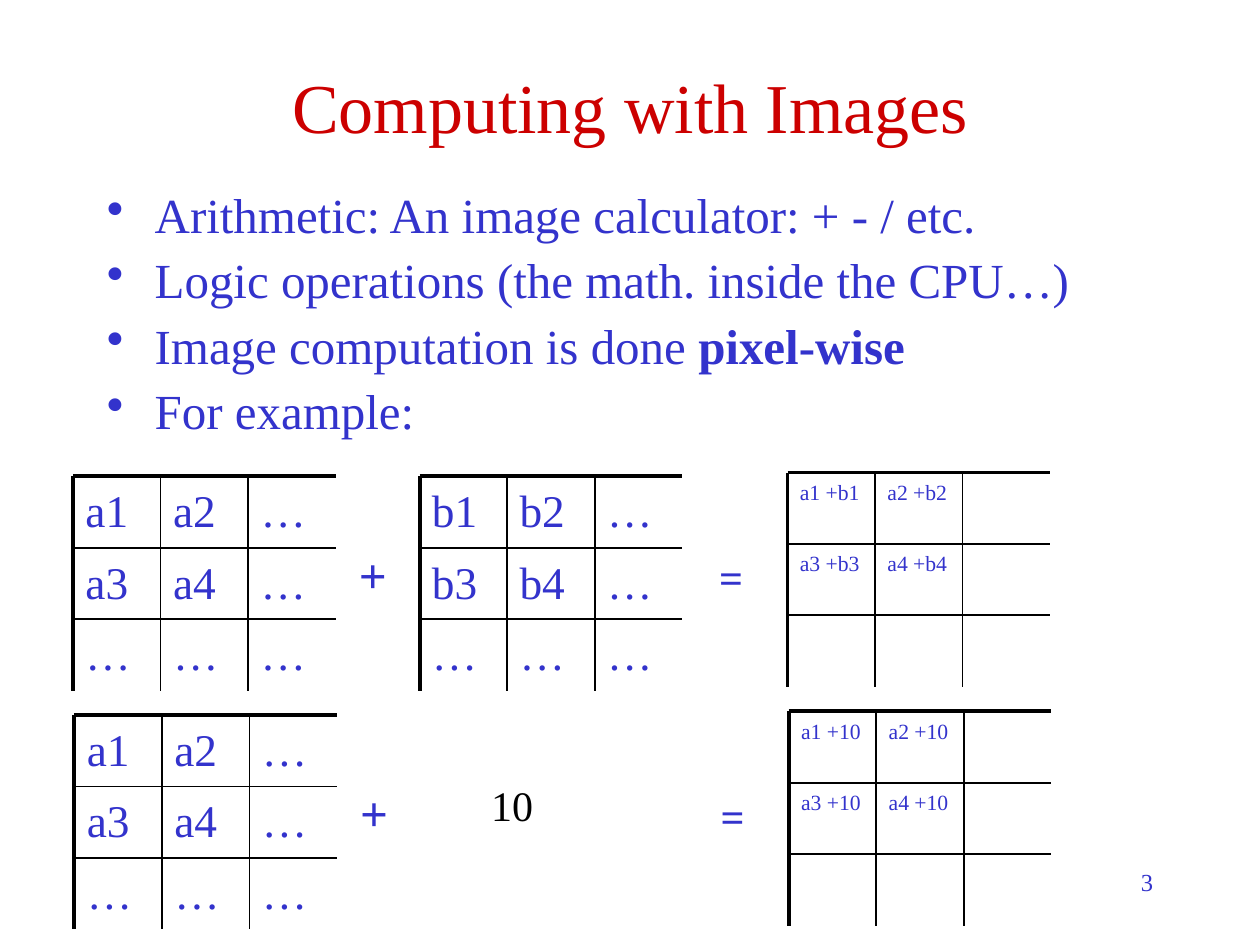
from dataclasses import dataclass

from lxml.etree import SubElement
from pptx import Presentation
from pptx.dml.color import RGBColor
from pptx.enum.shapes import MSO_CONNECTOR as Connector
from pptx.enum.text import MSO_ANCHOR as Anchor, MSO_AUTO_SIZE as AutoSize, PP_ALIGN as Align
from pptx.oxml.ns import qn
from pptx.util import Inches, Pt


@dataclass(frozen=True)
class Theme:
    font: str = "Times New Roman"
    heading: RGBColor = RGBColor(0xCC, 0x00, 0x00)
    body: RGBColor = RGBColor(0x33, 0x33, 0xCC)
    ink: RGBColor = RGBColor(0x00, 0x00, 0x00)
    title_size: float = 40
    bullet_size: float = 28
    plus_size: float = 28
    operand_size: float = 24
    pixel_size: float = 25.9
    sum_size: float = 12.4
    number_size: float = 14
    border: float = 2.25
    rule: float = 1


class SlideBuilder:
    CELL_W, CELL_H, CELLS = 0.695, 0.567, 3

    def __init__(self, slide, theme):
        self.slide, self.theme = slide, theme

    def style(self, paragraph, size, color, bold=False):
        font = paragraph.font
        font.name, font.size, font.bold = self.theme.font, Pt(size), bold
        font.color.rgb = color

    def title(self, text, left, top, width, height):
        heading = self.slide.shapes.title
        heading.left, heading.top = Inches(left), Inches(top)
        heading.width, heading.height = Inches(width), Inches(height)
        frame = heading.text_frame
        frame.text = text
        frame.auto_size, frame.vertical_anchor = AutoSize.NONE, Anchor.MIDDLE
        frame.paragraphs[0].alignment = Align.CENTER
        self.style(frame.paragraphs[0], self.theme.title_size, self.theme.heading)

    def frame(self, left, top, width, height, wrap=True):
        box = self.slide.shapes.add_textbox(
            Inches(left), Inches(top), Inches(width), Inches(height))
        box.text_frame.word_wrap = wrap
        return box.text_frame

    def text(self, text, left, top, width, height, size, color=None,
             bold=False, align=Align.LEFT, before=0, wrap=True):
        frame = self.frame(left, top, width, height, wrap)
        if not wrap:
            frame.auto_size = AutoSize.SHAPE_TO_FIT_TEXT
        paragraph = frame.paragraphs[0]
        paragraph.text, paragraph.alignment = text, align
        paragraph.space_before = Pt(before)
        self.style(paragraph, size, color or self.theme.body, bold)

    def bullets(self, items, left, top, width, height):
        """Each item is a list of (text, bold) runs."""
        frame = self.frame(left, top, width, height)
        for index, runs in enumerate(items):
            point = frame.add_paragraph() if index else frame.paragraphs[0]
            point.line_spacing, point.space_before = 0.9, Pt(7)
            properties = point._p.get_or_add_pPr()
            properties.set("marL", str(Inches(0.38)))
            properties.set("indent", str(Inches(-0.38)))
            SubElement(properties, qn("a:buChar")).set("char", "•")
            self.style(point, self.theme.bullet_size, self.theme.body)
            for words, bold in runs:
                run = point.add_run()
                run.text = words
                if bold:
                    run.font.bold = True

    def line(self, x1, y1, x2, y2, weight):
        rule = self.slide.shapes.add_connector(
            Connector.STRAIGHT, Inches(x1), Inches(y1), Inches(x2), Inches(y2))
        rule.line.color.rgb, rule.line.width = self.theme.ink, Pt(weight)
        SubElement(rule._element.spPr, qn("a:effectLst"))

    def matrix(self, rows, left, top, size, before):
        """Pixel grid that is open to the right and below."""
        for r, row in enumerate(rows):
            for c, value in enumerate(row):
                self.text(value, left + c * self.CELL_W, top + r * self.CELL_H,
                          self.CELL_W, self.CELL_H, size, before=before)
        right = left + self.CELLS * self.CELL_W
        bottom = top + self.CELLS * self.CELL_H
        weights = [self.theme.border] + [self.theme.rule] * (self.CELLS - 1)
        for i, weight in enumerate(weights):
            y = top + i * self.CELL_H
            self.line(left, y, right, y, weight)
        for i, weight in enumerate(weights):
            x = left + i * self.CELL_W
            self.line(x, top, x, bottom, weight)


def pixels(name):
    return [[f"{name}1", f"{name}2", "…"], [f"{name}3", f"{name}4", "…"], ["…"] * 3]


def sums(terms):
    cells = [f"a{i} +{term}" for i, term in enumerate(terms, 1)]
    return [cells[:2], cells[2:]]


def main():
    deck = Presentation()
    deck.slide_width, deck.slide_height = Inches(10), Inches(7.5)
    theme = Theme()
    page = SlideBuilder(deck.slides.add_slide(deck.slide_layouts[5]), theme)

    # Title and key points
    page.title("Computing with Images", 0.75, 0.21, 8.5, 1.25)
    page.bullets([
        [("Arithmetic: An image calculator: + - / etc.", False)],
        [("Logic operations (the math. inside the CPU…)", False)],
        [("Image computation is done ", False), ("pixel-wise", True)],
        [("For example:", False)],
    ], 0.75, 1.47, 8.5, 2.13)

    # Both equations: first image, operators and result
    equations = [
        (0.58, 3.78, ["b1", "b2", "b3", "b4"]),
        (0.59, 5.675, ["10"] * 4),
    ]
    for left, top, terms in equations:
        page.matrix(pixels("a"), left, top, theme.pixel_size, 7)
        page.text("+", left + 2.17, top + 0.49, 0.42, 0.57,
                  theme.plus_size, bold=True, wrap=False)
        page.text("=", left + 5.03, top + 0.55, 0.39, 0.5,
                  theme.operand_size, bold=True, wrap=False)
        page.matrix(sums(terms), left + 5.67, top - 0.03, theme.sum_size, 4)

    # Second operands: an image above, a constant below
    page.matrix(pixels("b"), 3.33, 3.78, theme.pixel_size, 7)
    page.text("10", 3.8, 6.14, 0.53, 0.5, theme.operand_size, theme.ink, wrap=False)

    # Slide number
    page.text("3", 7.17, 6.83, 2.08, 0.5, theme.number_size, align=Align.RIGHT)

    deck.save("out.pptx")


if __name__ == "__main__":
    main()
